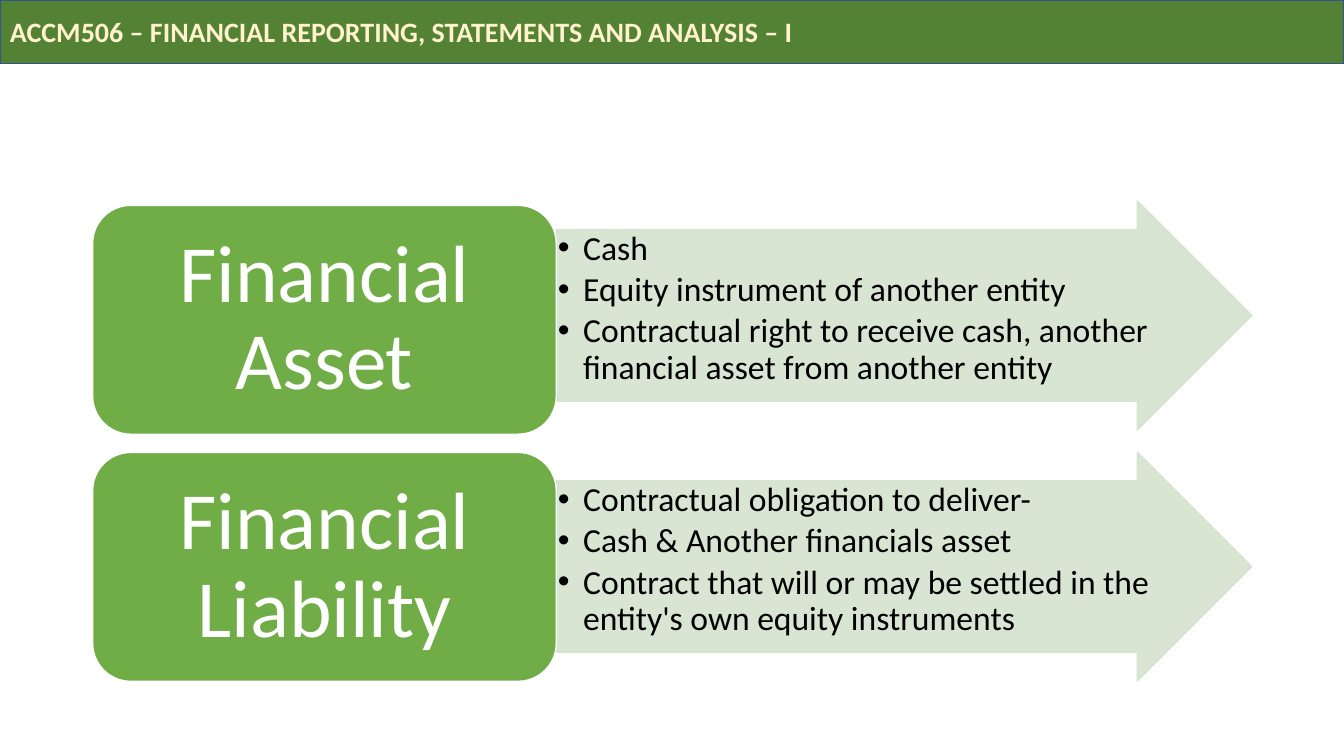
from dataclasses import dataclass

from lxml.etree import SubElement
from pptx import Presentation
from pptx.dml.color import RGBColor
from pptx.enum.shapes import MSO_SHAPE as Kind
from pptx.enum.text import MSO_ANCHOR as Anchor, PP_ALIGN as Align
from pptx.oxml.ns import qn
from pptx.shapes.autoshape import Shape
from pptx.slide import Slide
from pptx.util import Pt

FONT = "Calibri"
GREEN, PALE = "70AD47", "D5E3CF"
WHITE, BLACK = "FFFFFF", "000000"
BOX_X, BOX_W, HIGH = 66.2, 331.2, 163.5
ARROW_W = 496.8


@dataclass
class Group:
    """A green label with its arrow of points."""
    label: str
    points: list[str]
    box_y: float
    arrow_y: float


@dataclass
class Style:
    """The look of the text in a shape."""
    size: float
    color: str
    align: Align = Align.LEFT
    bold: bool = False
    lead: float = 1.0
    after: float = 0


GROUPS = [
    Group("Financial Asset", [
        "Cash",
        "Equity instrument of another entity",
        "Contractual right to receive cash, another financial asset from another entity",
    ], 146.7, 143.6),
    Group("Financial Liability", [
        "Contractual obligation to deliver-",
        "Cash & Another financials asset",
        "Contract that will or may be settled in the entity's own equity instruments",
    ], 323.2, 323),
]
TITLE = Style(20, "FFF2CC", bold=True)
LABEL = Style(58, WHITE, Align.CENTER, lead=0.9)
POINT = Style(24, BLACK, lead=0.9, after=3.6)


def paint(color: object, code: str) -> None:
    """Set a colour from a hex string."""
    color.rgb = RGBColor.from_string(code)


def add_block(slide: Slide, kind: Kind, at: tuple[float, ...], fill: str, line: str) -> Shape:
    """Add a filled and outlined shape."""
    shape = slide.shapes.add_shape(kind, *map(Pt, at))
    shape.shadow.inherit = False
    shape.fill.solid()
    paint(shape.fill.fore_color, fill)
    paint(shape.line.color, line)
    shape.line.width = Pt(1)
    return shape


def write(shape: Shape, texts: list[str], style: Style, insets: tuple[float, ...],
          anchor: Anchor = Anchor.MIDDLE) -> None:
    """Fill a shape with one paragraph per text."""
    frame = shape.text_frame
    frame.word_wrap = True
    frame.vertical_anchor = anchor
    (frame.margin_left, frame.margin_top,
     frame.margin_right, frame.margin_bottom) = map(Pt, insets)
    for i, text in enumerate(texts):
        para = frame.add_paragraph() if i else frame.paragraphs[0]
        para.alignment = style.align
        para.line_spacing = style.lead
        para.space_after = Pt(style.after)
        run = para.add_run()
        run.text = text
        run.font.name = FONT
        run.font.size = Pt(style.size)
        run.font.bold = style.bold
        paint(run.font.color, style.color)


def add_bullets(shape: Shape, indent: float) -> None:
    """Give each paragraph a hanging bullet."""
    for para in shape.text_frame.paragraphs:
        props = para._p.get_or_add_pPr()
        props.set("marL", str(Pt(indent)))
        props.set("indent", str(-Pt(indent)))
        SubElement(props, qn("a:buFont"), typeface="Arial")
        SubElement(props, qn("a:buChar"), char="•")


def fade(shape: Shape, share: int) -> None:
    """Set the opacity of fill and line in percent."""
    for color in shape._element.spPr.iter(qn("a:srgbClr")):
        SubElement(color, qn("a:alpha"), val=str(share * 1000))


def add_group(slide: Slide, group: Group) -> None:
    """Draw one arrow of points and its label."""
    arrow = add_block(slide, Kind.RIGHT_ARROW,
                      (BOX_X + BOX_W, group.arrow_y, ARROW_W, HIGH), PALE, PALE)
    arrow.adjustments[0] = 0.75
    arrow.adjustments[1] = 0.5
    fade(arrow, 90)
    write(arrow, group.points, POINT, (1.2, 1.2, 1.2, 1.2), Anchor.TOP)
    add_bullets(arrow, 18)
    box = add_block(slide, Kind.ROUNDED_RECTANGLE,
                    (BOX_X, group.box_y, BOX_W, HIGH), GREEN, WHITE)
    write(box, [group.label], LABEL, (17.4, 8.7, 17.4, 8.7))


def main() -> None:
    """Build and save the slide."""
    deck = Presentation()
    deck.slide_width, deck.slide_height = Pt(960), Pt(540)
    slide = deck.slides.add_slide(deck.slide_layouts[6])
    bar = add_block(slide, Kind.RECTANGLE, (0, 0, 960, 45.4), "548235", "325491")
    write(bar, ["ACCM506 – FINANCIAL REPORTING, STATEMENTS AND ANALYSIS – I"],
          TITLE, (7.2, 3.6, 7.2, 3.6))
    for group in GROUPS:
        add_group(slide, group)
    deck.save("out.pptx")


main()
